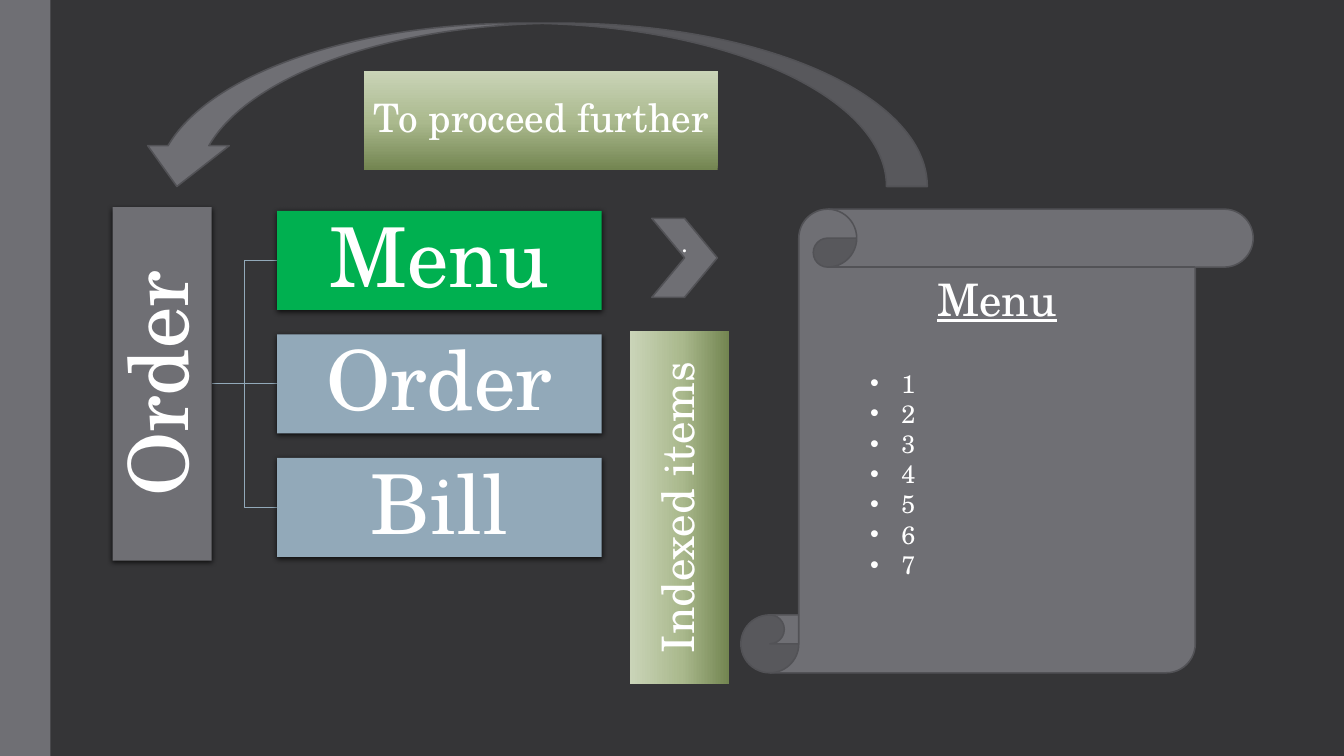
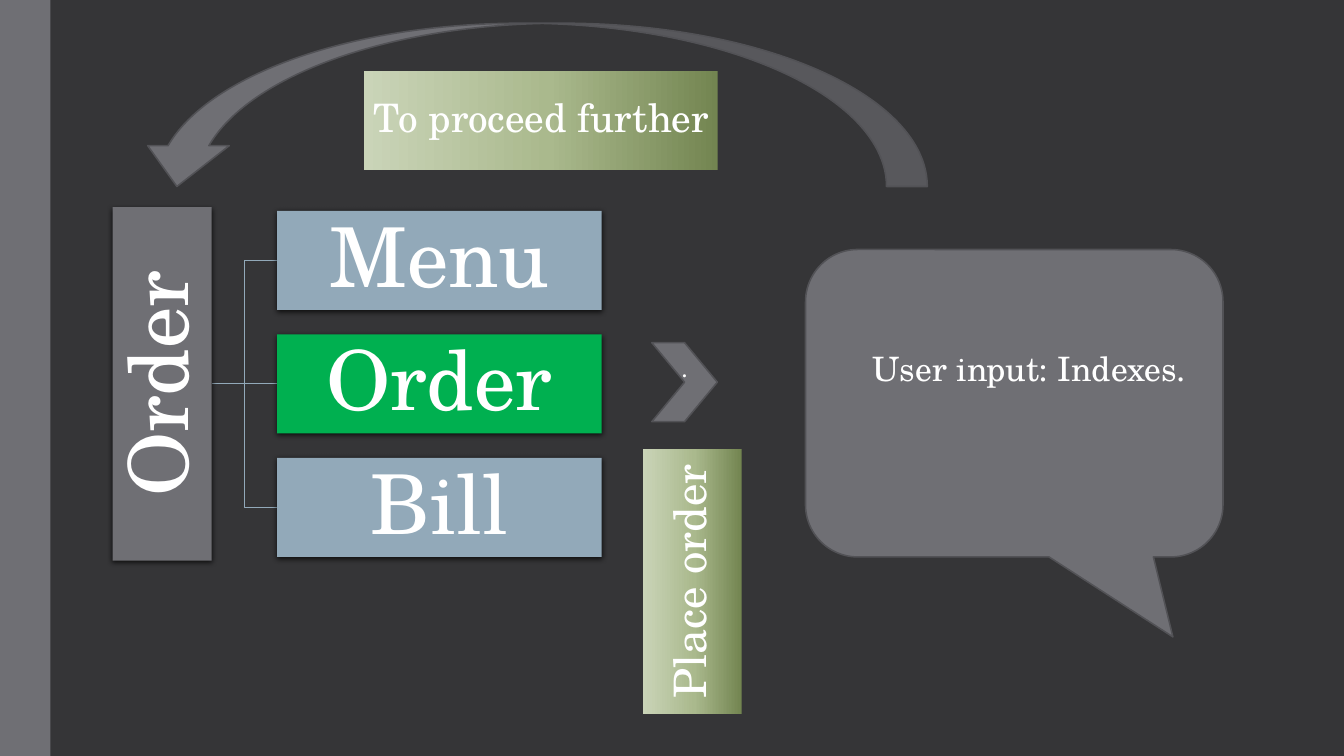
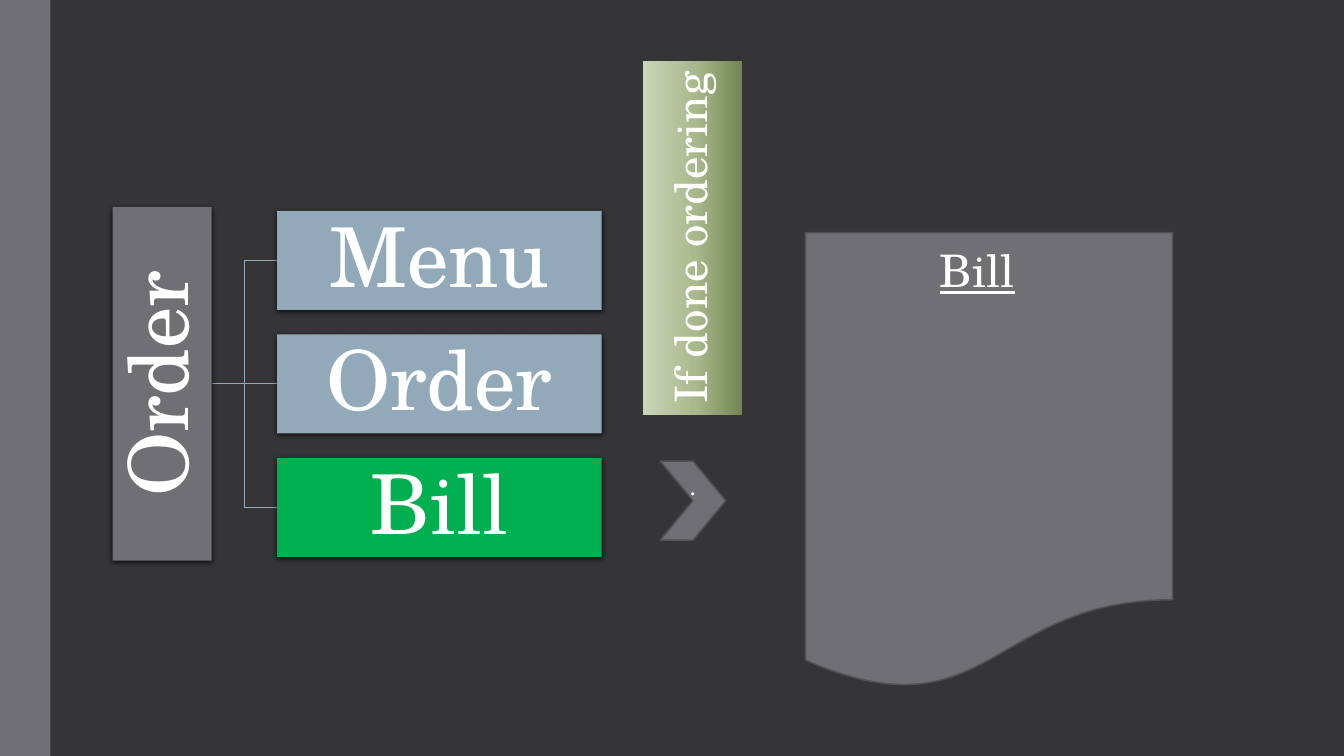
from lxml import etree
from pptx import Presentation
from pptx import util as u
from pptx.dml import color
from pptx.enum import shapes, text
from pptx.oxml import ns

KIND = shapes.MSO_SHAPE
COLS, ROWS = 160, 90


def rgb(code):
    """Turn a hex string into a colour."""
    return color.RGBColor.from_string(code)


def add(parent, tag, **attrs):
    """Append a drawing element with its attributes."""
    node = etree.SubElement(parent, ns.qn("a:" + tag))
    for key, value in attrs.items():
        node.set(key, str(value))
    return node


class Deck:
    """Hold the shared style and the current slide."""

    FONT, WHITE = "TeX Gyre Schola", "FFFFFF"
    DARK, GREY, EDGE = "353537", "6F6F74", "525256"
    BLUE, GREEN = "92A9B9", "00B050"
    FADE = ((0, "738551"), (48, "AAB98D"), (100, "CAD4B8"))
    MID, STEP, LONG, HIGH = 45.7, 14.7, 42.1, 11.8

    def __init__(self):
        """Start a wide deck on a grid of square cells."""
        self.prs = Presentation()
        self.prs.slide_height = u.Inches(7.5)
        self.cell = self.prs.slide_height / ROWS
        self.prs.slide_width, = self.grid(COLS)

    def grid(self, *cells):
        """Turn grid cells into lengths."""
        return [u.Emu(round(n * self.cell)) for n in cells]

    def page(self):
        """Open a dark slide with the side band."""
        self.slide = self.prs.slides.add_slide(self.prs.slide_layouts[6])
        back = self.slide.background.fill
        back.solid()
        back.fore_color.rgb = rgb(self.DARK)
        self.shape(KIND.RECTANGLE, 0, 0, 6, ROWS, edge=None)

    def shape(self, kind, x, y, w, h, fill=GREY, edge=EDGE):
        """Draw a flat preset shape."""
        item = self.slide.shapes.add_shape(kind, *self.grid(x, y, w, h))
        item.shadow.inherit = False
        if fill:
            item.fill.solid()
            item.fill.fore_color.rgb = rgb(fill)
        if edge:
            item.line.color.rgb = rgb(edge)
            item.line.width = u.Pt(1.1)
        else:
            item.line.fill.background()
        return item

    def say(self, par, words, size, under=None):
        """Add one styled run to a paragraph."""
        run = par.add_run()
        run.text = words
        run.font.name = self.FONT
        run.font.size = u.Pt(size)
        run.font.color.rgb = rgb(self.WHITE)
        run.font.underline = under

    def block(self, words, cx, cy, w, size, fill, turn=0):
        """Draw a box centred on a point with centred words."""
        x, y = cx - w / 2, cy - self.HIGH / 2
        item = self.shape(KIND.RECTANGLE, x, y, w, self.HIGH, fill, None)
        item.rotation = turn
        frame = item.text_frame
        frame.margin_left = frame.margin_right = u.Inches(0.04)
        frame.margin_top = frame.margin_bottom = u.Inches(0.04)
        frame.vertical_anchor = text.MSO_ANCHOR.MIDDLE
        par = frame.paragraphs[0]
        par.alignment = text.PP_ALIGN.CENTER
        par.line_spacing = 0.9
        self.say(par, words, size)
        return item

    def card(self, *args):
        """Draw a block with a soft shadow."""
        item = self.block(*args)
        effects = item._element.spPr.find(ns.qn("a:effectLst"))
        shade = add(effects, "outerShdw", blurRad=u.Pt(4), dist=u.Pt(1.2),
                    dir=5400000, rotWithShape=0)
        add(add(shade, "srgbClr", val="000000"), "alpha", val=75000)

    def label(self, words, cx, cy, w=LONG, size=32, turn=270, slant=270):
        """Draw a block with the green fade."""
        item = self.block(words, cx, cy, w, size, None, turn)
        item.fill.gradient()
        grad = item._element.spPr.find(ns.qn("a:gradFill"))
        for part in list(grad):
            grad.remove(part)
        grad.set("rotWithShape", "1")
        stops = add(grad, "gsLst")
        for place, code in self.FADE:
            add(add(stops, "gs", pos=place * 1000), "srgbClr", val=code)
        add(grad, "lin", ang=slant * 60000, scaled=0)

    def link(self, y):
        """Join the root card to a branch."""
        kind = shapes.MSO_CONNECTOR
        form = kind.STRAIGHT if y == self.MID else kind.ELBOW
        line = self.slide.shapes.add_connector(
            form, *self.grid(25.2, self.MID, 33, y))
        line.line.color.rgb = rgb(self.BLUE)
        line.line.width = u.Pt(0.75)
        add(line._element.spPr, "effectLst")

    def tree(self, chosen):
        """Draw the root and its branches, with one lit."""
        for row, name in enumerate(("Menu", "Order", "Bill")):
            y = self.MID + (row - 1) * self.STEP
            self.link(y)
            fill = self.GREEN if name == chosen else self.BLUE
            self.card(name, 52.3, y, 38.64, 59, fill)
        self.card("Order", 19.3, self.MID, self.LONG, 59, self.GREY, 270)

    def arrow(self, slant):
        """Draw the way back with its label."""
        item = self.shape(KIND.CURVED_DOWN_ARROW, 16.2, 2.76, 94.2, 19.44)
        item._element.spPr.find(ns.qn("a:xfrm")).set("flipH", "1")
        self.label("To proceed further", 64.4, 14.3, size=28, turn=0,
                   slant=slant)

    def point(self, x, y):
        """Draw a chevron with a raised dot."""
        item = self.shape(KIND.CHEVRON, x, y, 7.8, 9.4)
        frame = item.text_frame
        frame.vertical_anchor = text.MSO_ANCHOR.MIDDLE
        frame.margin_bottom = u.Inches(0.35)
        par = frame.paragraphs[0]
        par.alignment = text.PP_ALIGN.CENTER
        self.say(par, ".", 18)

    def note(self, lines, x, y, w, h, size, under=None, dots=False):
        """Place plain or bulleted lines of text."""
        frame = self.slide.shapes.add_textbox(*self.grid(x, y, w, h)).text_frame
        frame.word_wrap = True
        for i, words in enumerate(lines):
            par = frame.add_paragraph() if i else frame.paragraphs[0]
            self.say(par, words, size, under)
            if dots:
                props = par._p.get_or_add_pPr()
                props.set("marL", str(u.Inches(0.31)))
                props.set("indent", str(-u.Inches(0.31)))
                add(props, "buFont", typeface="Arial")
                add(props, "buChar", char="•")


def main():
    """Build and save the three slides."""
    deck = Deck()

    deck.page()
    deck.tree("Menu")
    deck.arrow(270)
    deck.shape(KIND.VERTICAL_SCROLL, 88.2, 24.9, 61, 55.2)
    deck.point(77.6, 26)
    deck.label("Indexed items", 80.9, 60.4)
    deck.note(["Menu"], 110.4, 31.7, 28.6, 7.7, 32, True)
    deck.note([str(n) for n in range(1, 8)], 102.4, 43.2, 36.6, 26.6, 18,
              dots=True)

    deck.page()
    deck.tree("Order")
    deck.arrow(180)
    deck.point(77.6, 40.8)
    bubble = deck.shape(KIND.ROUNDED_RECTANGULAR_CALLOUT, 95.9, 29.7, 49.7, 36.6)
    for i, share in enumerate((0.38, 0.76, 0.17)):
        bubble.adjustments[i] = share
    deck.label("Place order", 82.4, 69.2, 31.6)
    deck.note(["User input: Indexes."], 102.7, 40.8, 50.4, 6, 24)

    deck.page()
    deck.tree("Bill")
    deck.point(78.6, 54.9)
    deck.shape(KIND.FLOWCHART_DOCUMENT, 95.9, 27.7, 43.7, 54.5)
    deck.label("If done ordering", 82.5, 28.3)
    deck.note(["Bill"], 110.7, 28.3, 14.2, 7.7, 32, True)

    deck.prs.save("out.pptx")


if __name__ == "__main__":
    main()
